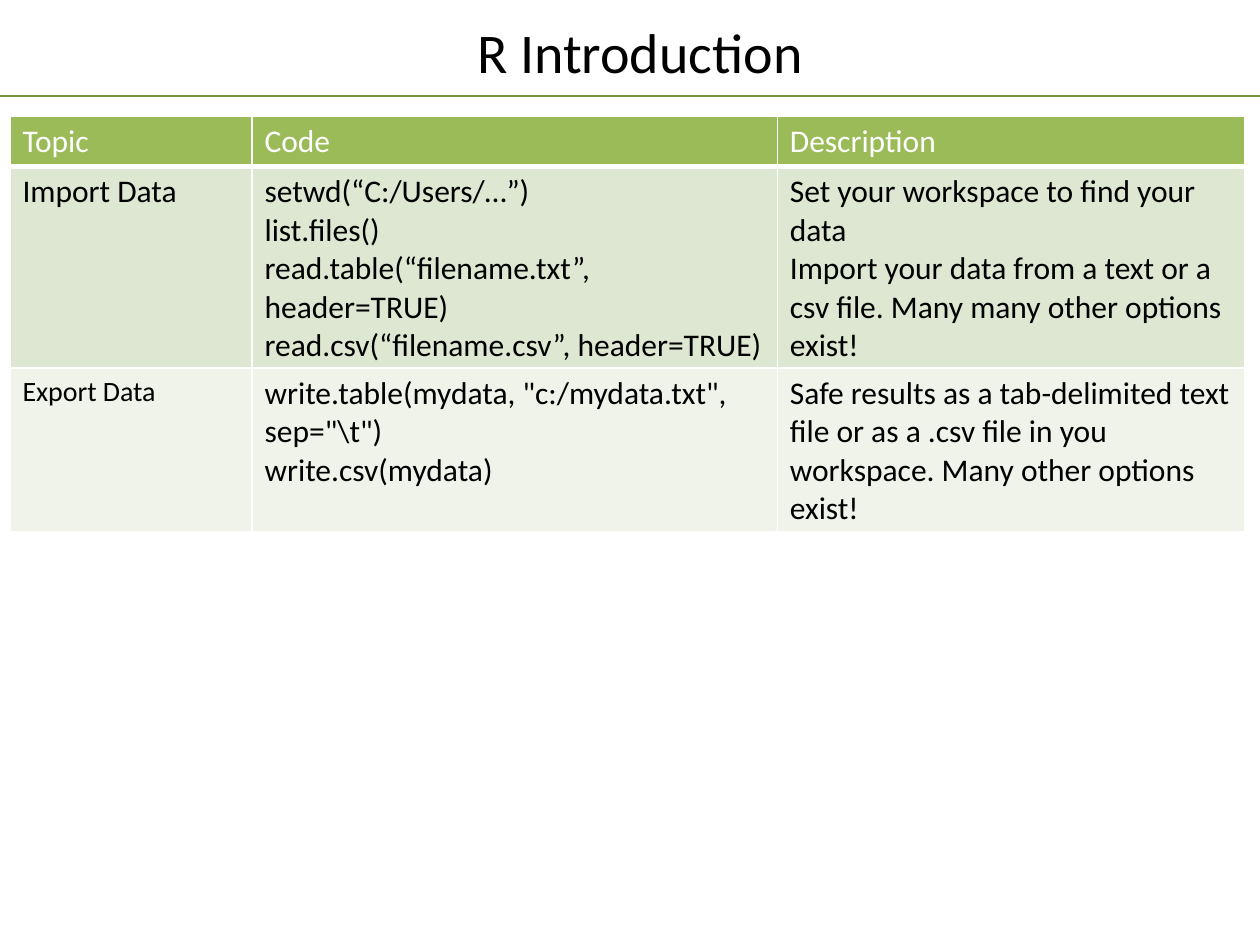
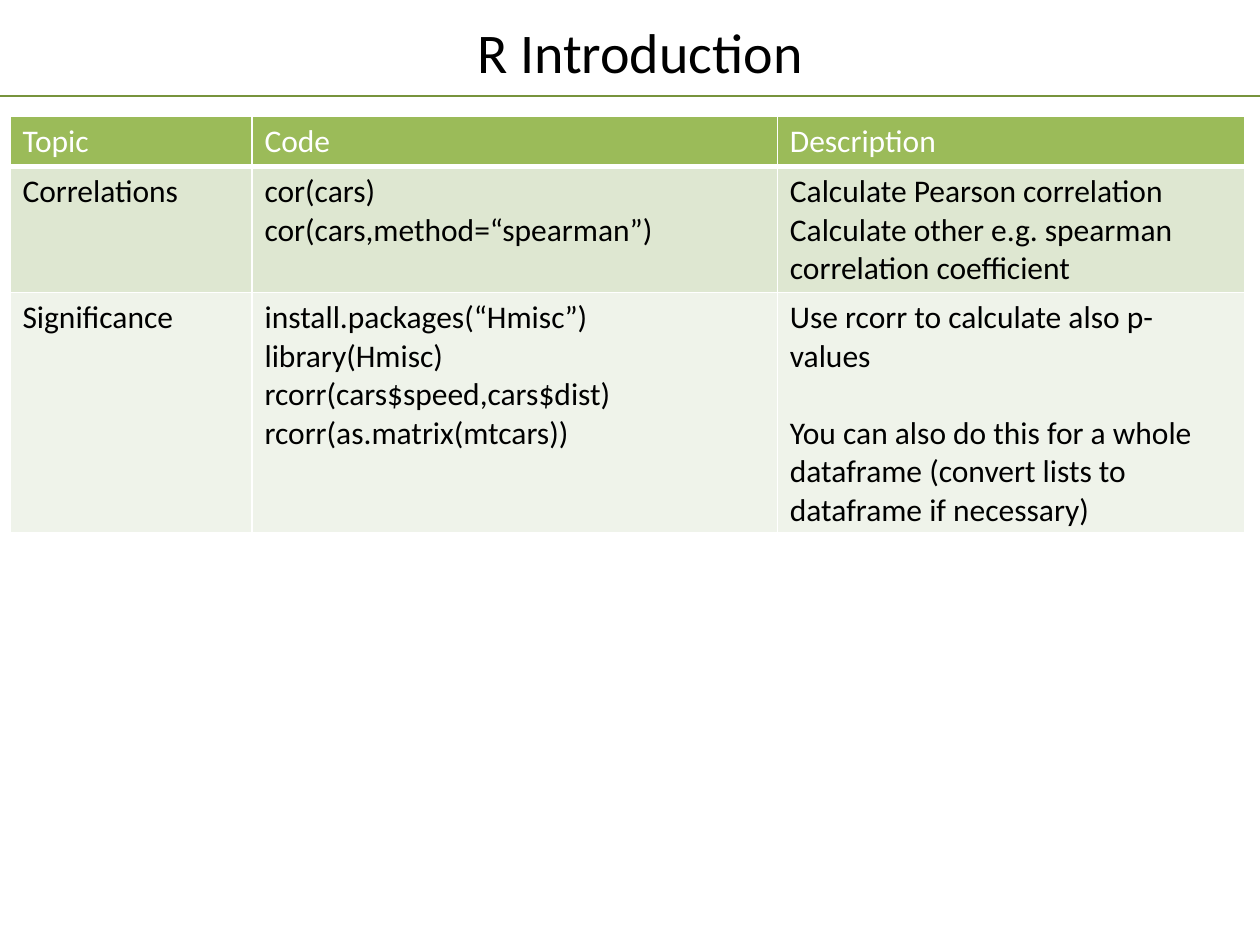
from dataclasses import dataclass

from lxml import etree
from pptx import Presentation
from pptx import util as u
from pptx.dml.color import RGBColor
from pptx.enum import shapes, text
from pptx.oxml.ns import qn


@dataclass(frozen=True)
class Theme:
    """Colours, font and type sizes shared by the slides."""
    font: str = "Calibri"
    ink: str = "000000"
    white: str = "FFFFFF"
    rule: str = "77933C"
    header: str = "9BBB59"
    bands: tuple = ("DEE7D1", "EFF3EA")
    title_size: int = 32
    body_size: int = 18
    small_size: int = 16
    gap: int = 22  # one empty line of body text


T = Theme()
WIDTH, HEIGHT = u.Cm(25.4), u.Cm(19.05)
TITLE_BOX = (u.Cm(3.71), u.Cm(0.13), u.Cm(18.39), u.Cm(1.8))
TABLE_LEFT, TABLE_TOP = u.Cm(0.2), u.Cm(2.34)
COLUMNS = (u.Cm(4.88), u.Cm(10.59), u.Cm(9.42))
ROWS = (u.Cm(0.84), u.Cm(1.83), u.Cm(1.83))

TITLE = "R Introduction"
HEADINGS = ("Topic", "Code", "Description")

# A blank line in a cell's text becomes space before the next paragraph.
DATA_ROWS = (
    ("Import Data",
     "setwd(“C:/Users/…”)\n"
     "list.files()\n"
     "read.table(“filename.txt”, header=TRUE)\n"
     "read.csv(“filename.csv”, header=TRUE)",
     "Set your workspace to find your data\n"
     "Import your data from a text or a csv file. "
     "Many many other options exist!"),
    ("Export Data",
     'write.table(mydata, "c:/mydata.txt", sep="\\t")\n'
     "write.csv(mydata)",
     "Safe results as a tab-delimited text file or as a .csv file "
     "in you workspace. Many other options exist!"),
)
STATISTICS_ROWS = (
    ("Correlations",
     "cor(cars)\n"
     "cor(cars,method=“spearman”)",
     "Calculate Pearson correlation\n"
     "Calculate other e.g. spearman correlation coefficient"),
    ("Significance",
     "install.packages(“Hmisc”)\n"
     "library(Hmisc)\n"
     "rcorr(cars$speed,cars$dist)\n"
     "rcorr(as.matrix(mtcars))",
     "Use rcorr to calculate also p-values\n\n"
     "You can also do this for a whole dataframe "
     "(convert lists to dataframe if necessary)"),
)


def rgb(code):
    """Turn a hex code into a colour."""
    return RGBColor.from_string(code)


def write(tf, content, size, color):
    """Write one paragraph a line, with blank lines as spacing."""
    for i, block in enumerate(content.split("\n\n")):
        for j, line in enumerate(block.split("\n")):
            p = tf.add_paragraph() if i or j else tf.paragraphs[0]
            p.text = line
            if i and not j:
                p.space_before = u.Pt(T.gap)
            for r in p.runs:
                r.font.name = T.font
                r.font.size = u.Pt(size)
                r.font.bold = False
                r.font.color.rgb = rgb(color)


def add_heading(s, box, title):
    """Place the centred title in its box and the rule along its foot."""
    left, top, width, height = box
    tf = s.shapes.add_textbox(left, top, width, height).text_frame
    tf.word_wrap = True
    tf.vertical_anchor = text.MSO_ANCHOR.MIDDLE
    write(tf, title, T.title_size, T.ink)
    tf.paragraphs[0].alignment = text.PP_ALIGN.CENTER

    foot = top + height
    line = s.shapes.add_connector(shapes.MSO_CONNECTOR.STRAIGHT,
                                  0, foot, WIDTH, foot)
    line.line.color.rgb = rgb(T.rule)
    line.line.width = u.Pt(1)
    etree.SubElement(line._element.spPr, qn("a:effectLst"))


def set_borders(cell, bottom):
    """Give a cell white borders, with its own weight at the bottom."""
    tc_pr = cell._tc.get_or_add_tcPr()
    for side, weight in (("L", 1), ("R", 1), ("T", 1), ("B", bottom)):
        ln = etree.SubElement(tc_pr, qn("a:ln" + side), w=str(u.Pt(weight)))
        fill = etree.SubElement(ln, qn("a:solidFill"))
        etree.SubElement(fill, qn("a:srgbClr"), val=T.white)


def add_code_table(s, left, top, height, rows, small):
    """Place the topic table; topics named in small get the lesser size."""
    frame = s.shapes.add_table(len(rows) + 1, len(COLUMNS),
                               left, top, sum(COLUMNS), height)
    table = frame.table
    table.horz_banding = False
    for column, width in zip(table.columns, COLUMNS):
        column.width = width
    for row, row_height in zip(table.rows, ROWS):
        row.height = row_height
    frame.height = height

    for i, contents in enumerate((HEADINGS, *rows)):
        color = T.ink if i else T.white
        fill = T.bands[(i - 1) % 2] if i else T.header
        for j, content in enumerate(contents):
            cell = table.cell(i, j)
            set_borders(cell, bottom=1 if i else 3)
            cell.fill.solid()
            cell.fill.fore_color.rgb = rgb(fill)
            size = T.small_size if content in small else T.body_size
            write(cell.text_frame, content, size, color)


def add_topic_slide(prs, rows, table_height, small=()):
    """Add a slide with the shared heading and one topic table."""
    s = prs.slides.add_slide(prs.slide_layouts[6])
    add_heading(s, TITLE_BOX, TITLE)
    add_code_table(s, TABLE_LEFT, TABLE_TOP, table_height, rows, small)


prs = Presentation()
prs.slide_width, prs.slide_height = WIDTH, HEIGHT
add_topic_slide(prs, DATA_ROWS, u.Cm(9.14), small=("Export Data",))
add_topic_slide(prs, STATISTICS_ROWS, u.Cm(8.38))
prs.save("out.pptx")
